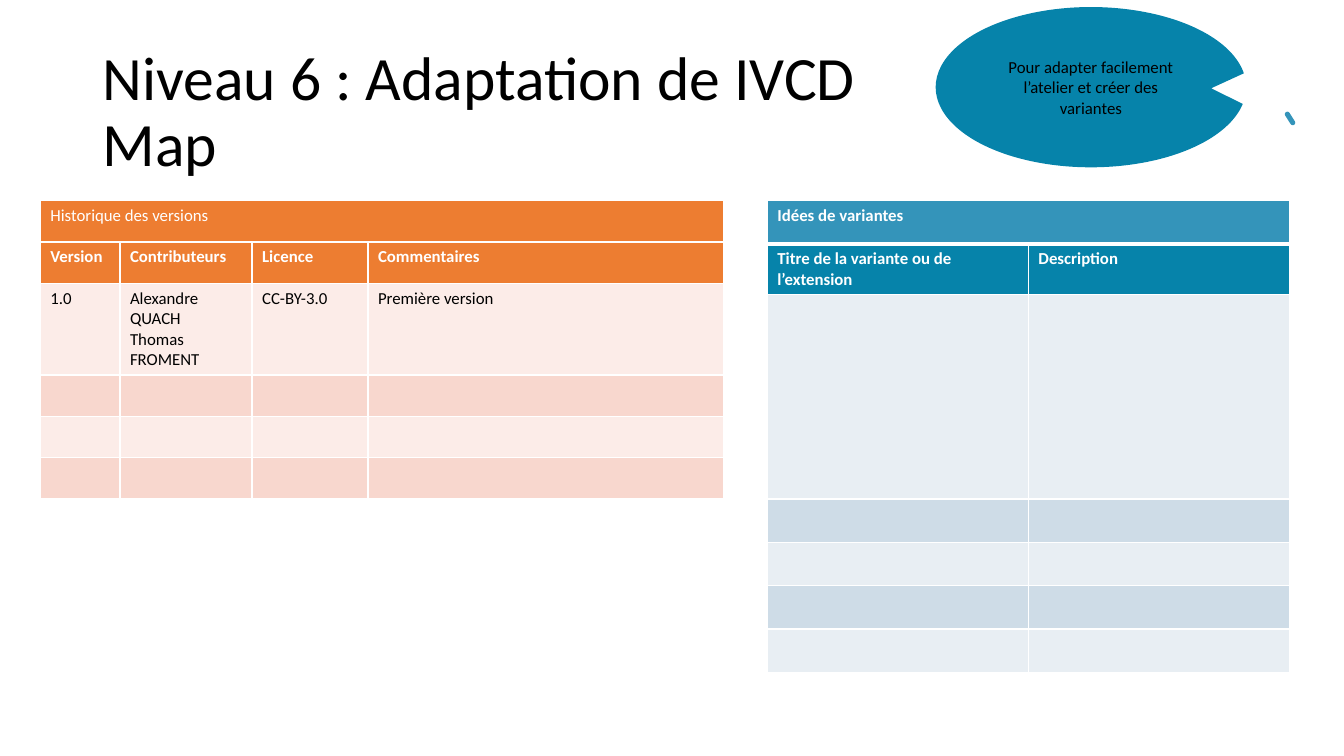
from dataclasses import dataclass

import pptx
import pptx.dml.color
import pptx.enum.shapes
import pptx.enum.text
import pptx.oxml
import pptx.oxml.ns
import pptx.util

RGB = pptx.dml.color.RGBColor
SHAPE = pptx.enum.shapes.MSO_SHAPE
ALIGN = pptx.enum.text.PP_ALIGN
ANCHOR = pptx.enum.text.MSO_ANCHOR

PX = 9144  # EMU in one px, 100 px to the inch
FONT = "Calibri"
BLACK = RGB(0x00, 0x00, 0x00)
WHITE = RGB(0xFF, 0xFF, 0xFF)
BLUE = RGB(0x34, 0x94, 0xBA)
TEAL = RGB(0x06, 0x83, 0xAA)
ORANGE = RGB(0xED, 0x7D, 0x31)
ICE = RGB(0xE8, 0xEE, 0xF3)
MIST = RGB(0xCE, 0xDC, 0xE7)
BLUSH = RGB(0xFC, 0xEC, 0xE8)
PEACH = RGB(0xF8, 0xD7, 0xCE)


@dataclass
class Grid:
    left: int
    top: int
    cols: list[int]
    rows: list[int]
    head: str
    bold: bool
    rule: int  # line under the head, in points
    fills: tuple[RGB, RGB]  # head, column names
    bands: tuple[RGB, RGB]
    texts: list[list[str]]  # column names, then body rows


@dataclass
class Form:
    kind: pptx.enum.shapes.MSO_SHAPE
    box: tuple[int, int, int, int]
    fill: RGB
    tweaks: tuple[float, ...]
    turn: float = 0
    text: str = ""


GRIDS = [
    Grid(761, 199, [259, 259], [43, 50, 203] + [43] * 4,
         "Idées de variantes", True, 3, (BLUE, TEAL), (ICE, MIST),
         [["Titre de la variante ou de l’extension", "Description"]]),
    Grid(40, 199, [79, 131, 115, 353], [41, 41, 91] + [41] * 3,
         "Historique des versions", False, 1, (ORANGE, ORANGE), (BLUSH, PEACH),
         [["Version", "Contributeurs", "Licence", "Commentaires"],
          ["1.0", "Alexandre QUACH\nThomas FROMENT", "CC-BY-3.0",
           "Première version"]]),
]
FORMS = [
    Form(SHAPE.OVAL_CALLOUT, (928, 7, 308, 159), TEAL, (0.387, 0.007),
         text="Pour adapter facilement l’atelier et créer des variantes"),
    Form(SHAPE.ROUNDED_RECTANGLE, (1272, 115, 15, 5), BLUE, (0.5,), 57.7),
]


def scale(*sizes: int) -> list[int]:
    return [size * PX for size in sizes]


def style(frame, size: int, color: RGB, bold: bool = False) -> None:
    for para in frame.paragraphs:
        para.font.size = pptx.util.Pt(size)
        for run in para.runs:
            run.font.name = FONT
            run.font.size = pptx.util.Pt(size)
            run.font.bold = bold
            run.font.color.rgb = color


def edge(cell, side: str, width: int) -> None:
    line = pptx.oxml.parse_xml(
        f'<a:ln{side} {pptx.oxml.ns.nsdecls("a")} w="{pptx.util.Pt(width)}">'
        f'<a:solidFill><a:srgbClr val="{WHITE}"/></a:solidFill></a:ln{side}>')
    cell._tc.get_or_add_tcPr().append(line)


def draw_title(slide, text: str) -> None:
    box = slide.shapes.add_textbox(*scale(92, 40, 785, 145))
    frame = box.text_frame
    frame.word_wrap = True
    frame.vertical_anchor = ANCHOR.MIDDLE
    frame.text = text
    frame.paragraphs[0].line_spacing = 0.9
    style(frame, 44, BLACK)


def draw_form(slide, form: Form) -> None:
    shape = slide.shapes.add_shape(form.kind, *scale(*form.box))
    shape.shadow.inherit = False
    shape.fill.solid()
    shape.fill.fore_color.rgb = form.fill
    shape.line.fill.background()
    shape.rotation = form.turn
    for index, tweak in enumerate(form.tweaks):
        shape.adjustments[index] = tweak
    if form.text:
        frame = shape.text_frame
        frame.word_wrap = True
        frame.vertical_anchor = ANCHOR.MIDDLE
        frame.text = form.text
        frame.paragraphs[0].alignment = ALIGN.CENTER
        style(frame, 12, BLACK)


def draw_grid(slide, grid: Grid) -> None:
    box = scale(grid.left, grid.top, sum(grid.cols), sum(grid.rows))
    table = slide.shapes.add_table(len(grid.rows), len(grid.cols), *box).table
    table.first_row = table.horz_banding = False
    for col, width in zip(table.columns, grid.cols):
        col.width = width * PX
    for row, height in zip(table.rows, grid.rows):
        row.height = height * PX

    texts = [[grid.head]] + grid.texts
    for r in range(len(grid.rows)):
        fill = grid.fills[r] if r < 2 else grid.bands[r % 2]
        bold = grid.bold if r == 0 else r == 1
        for c in range(len(grid.cols)):
            cell = table.cell(r, c)
            edge(cell, "L", 1)
            edge(cell, "R", 1)
            edge(cell, "T", grid.rule if r == 1 else 1)
            edge(cell, "B", grid.rule if r == 0 else 1)
            cell.fill.solid()
            cell.fill.fore_color.rgb = fill
            if r < len(texts) and c < len(texts[r]):
                cell.text_frame.text = texts[r][c]
            style(cell.text_frame, 12, WHITE if r < 2 else BLACK, bold)
    table.cell(0, 0).merge(table.cell(0, len(grid.cols) - 1))


def main() -> None:
    deck = pptx.Presentation()
    deck.slide_width, deck.slide_height = scale(1333, 750)
    slide = deck.slides.add_slide(deck.slide_layouts[6])

    # Title, callout and small dash
    draw_title(slide, "Niveau 6 : Adaptation de IVCD Map")
    for form in FORMS:
        draw_form(slide, form)

    # Ideas and version history
    for grid in GRIDS:
        draw_grid(slide, grid)

    deck.save("out.pptx")


if __name__ == "__main__":
    main()
